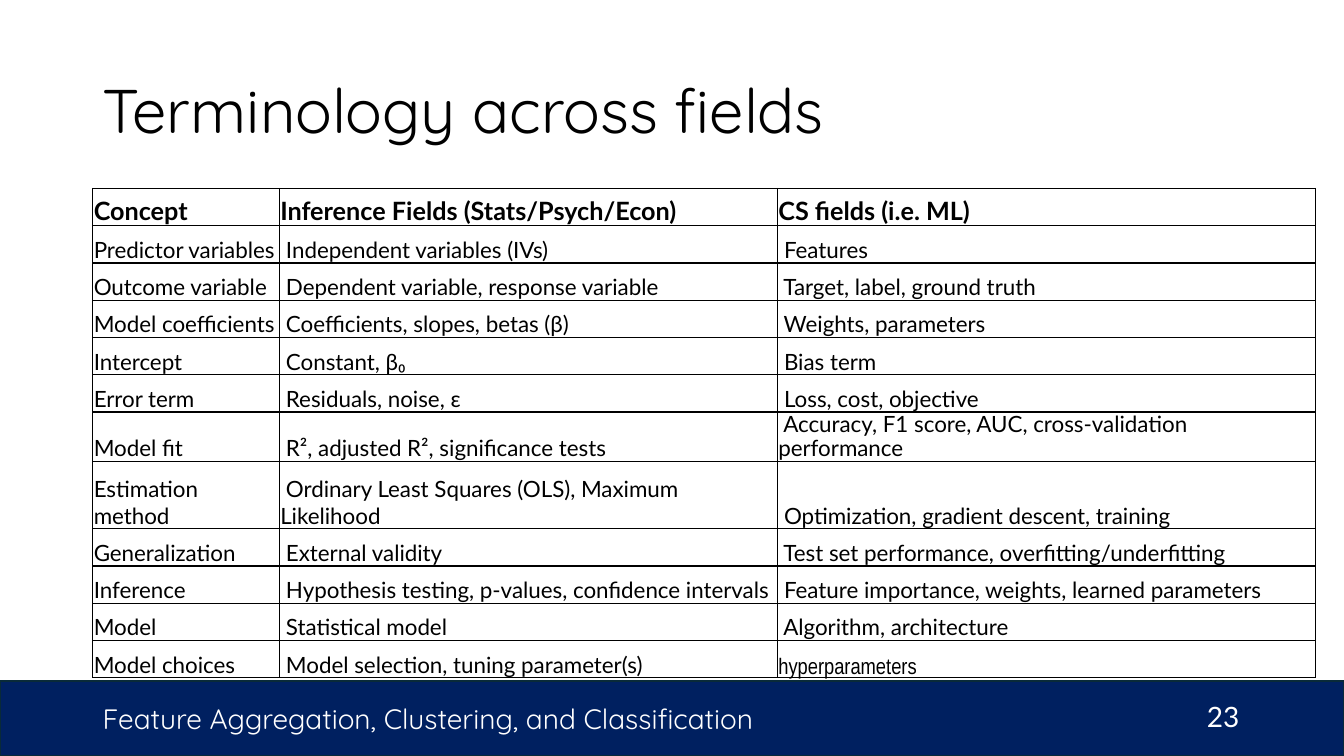
import pptx
import pptx.util
import pptx.dml.color
import pptx.enum.shapes
import pptx.enum.text
import pptx.oxml
from pptx.enum.text import MSO_ANCHOR, PP_ALIGN
from pptx.util import Inches, Pt

# Content
TITLE = "Terminology across fields"
FOOTER = "Feature Aggregation, Clustering, and Classification"
PAGE = "23"
ROWS = [
    ("Concept", "Inference Fields (Stats/Psych/Econ)", "CS fields (i.e. ML)"),
    ("Predictor variables", " Independent variables (IVs)", " Features"),
    ("Outcome variable", " Dependent variable, response variable", " Target, label, ground truth"),
    ("Model coefficients", " Coefficients, slopes, betas (β)", " Weights, parameters"),
    ("Intercept", " Constant, β₀", " Bias term"),
    ("Error term", " Residuals, noise, ε", " Loss, cost, objective"),
    ("Model fit", " R², adjusted R², significance tests",
     " Accuracy, F1 score, AUC, cross-validation performance"),
    ("Estimation method", " Ordinary Least Squares (OLS), Maximum Likelihood",
     " Optimization, gradient descent, training"),
    ("Generalization", " External validity", " Test set performance, overfitting/underfitting"),
    ("Inference", " Hypothesis testing, p-values, confidence intervals",
     " Feature importance, weights, learned parameters"),
    ("Model", " Statistical model", " Algorithm, architecture"),
    ("Model choices", " Model selection, tuning parameter(s)", "hyperparameters"),
]
COLORS = {"text": "000000", "bar": "002060", "bar_line": "092A39", "white": "FFFFFF"}
COL_WIDTHS = (1.85, 4.94, 5.34)
ROW_HEIGHT, TALL_HEIGHT = 0.37, 0.67
TALL_ROW = "Estimation method"
TIGHT_ROWS = ("Model fit", "Model choices")
LEFT, TABLE_TOP = 0.92, 1.87
BAR_TOP, BAR_HEIGHT = 6.76, 0.74


def rgb(name):
    return pptx.dml.color.RGBColor.from_string(COLORS[name])


def write(tf, text, font, size, color, bold=False, align=PP_ALIGN.LEFT):
    tf.text = text
    p = tf.paragraphs[0]
    p.alignment = align
    f = p.runs[0].font
    f.name, f.size, f.bold = font, Pt(size), bold
    f.color.rgb = rgb(color)
    return p


def add_borders(cell):
    tc_pr = cell._tc.get_or_add_tcPr()
    for i, side in enumerate(("lnL", "lnR", "lnT", "lnB")):
        tc_pr.insert(i, pptx.oxml.parse_xml(
            f'<a:{side} xmlns:a="http://schemas.openxmlformats.org/drawingml/2006/main" w="12700">'
            f'<a:solidFill><a:srgbClr val="{COLORS["text"]}"/></a:solidFill></a:{side}>'))


def add_label(s, box, text, font, align):
    tf = s.shapes.add_textbox(*map(Inches, box)).text_frame
    tf.word_wrap = True
    tf.vertical_anchor = MSO_ANCHOR.MIDDLE
    write(tf, text, font, 20, "white", align=align)


prs = pptx.Presentation()
prs.slide_width, prs.slide_height = Inches(13.33), Inches(7.5)
s = prs.slides.add_slide(prs.slide_layouts[5])

# Footer bar
bar = s.shapes.add_shape(pptx.enum.shapes.MSO_SHAPE.RECTANGLE, 0, Inches(BAR_TOP),
                         prs.slide_width, Inches(BAR_HEIGHT))
bar.shadow.inherit = False
bar.fill.solid()
bar.fill.fore_color.rgb = rgb("bar")
bar.line.color.rgb = rgb("bar_line")
bar.line.width = Pt(1.5)

# Title
title = s.shapes.title
title.left, title.top, title.width, title.height = map(Inches, (LEFT, 0.4, 11.5, 1.45))
title.text_frame.auto_size = pptx.enum.text.MSO_AUTO_SIZE.NONE
title.text_frame.vertical_anchor = MSO_ANCHOR.MIDDLE
write(title.text_frame, TITLE, "Quicksand", 44, "text").line_spacing = 0.9

# Terminology table
heights = [TALL_HEIGHT if row[0] == TALL_ROW else ROW_HEIGHT for row in ROWS]
table = s.shapes.add_table(len(ROWS), len(COL_WIDTHS), Inches(LEFT), Inches(TABLE_TOP),
                           Inches(sum(COL_WIDTHS)), Inches(sum(heights))).table
table.horz_banding = False
for column, width in zip(table.columns, COL_WIDTHS):
    column.width = Inches(width)
for r, (row, height) in enumerate(zip(ROWS, heights)):
    table.rows[r].height = Inches(height)
    for c, text in enumerate(row):
        cell = table.cell(r, c)
        cell.fill.background()
        cell.vertical_anchor = MSO_ANCHOR.BOTTOM
        cell.margin_left = cell.margin_right = cell.margin_top = Inches(0.01)
        cell.margin_bottom = 0
        font = "Arial Narrow" if text == "hyperparameters" else "Lato"
        p = write(cell.text_frame, text, font, 16 if r else 18, "text", bold=r == 0)
        if row[0] in TIGHT_ROWS:
            p.line_spacing = 0.9
        add_borders(cell)

# Footer text and page number
add_label(s, (LEFT, BAR_TOP, 7.67, BAR_HEIGHT), FOOTER, "Quicksand", PP_ALIGN.LEFT)
add_label(s, (11.27, 6.87, 1.12, 0.48), PAGE, "Lato", PP_ALIGN.RIGHT)

prs.save("out.pptx")
